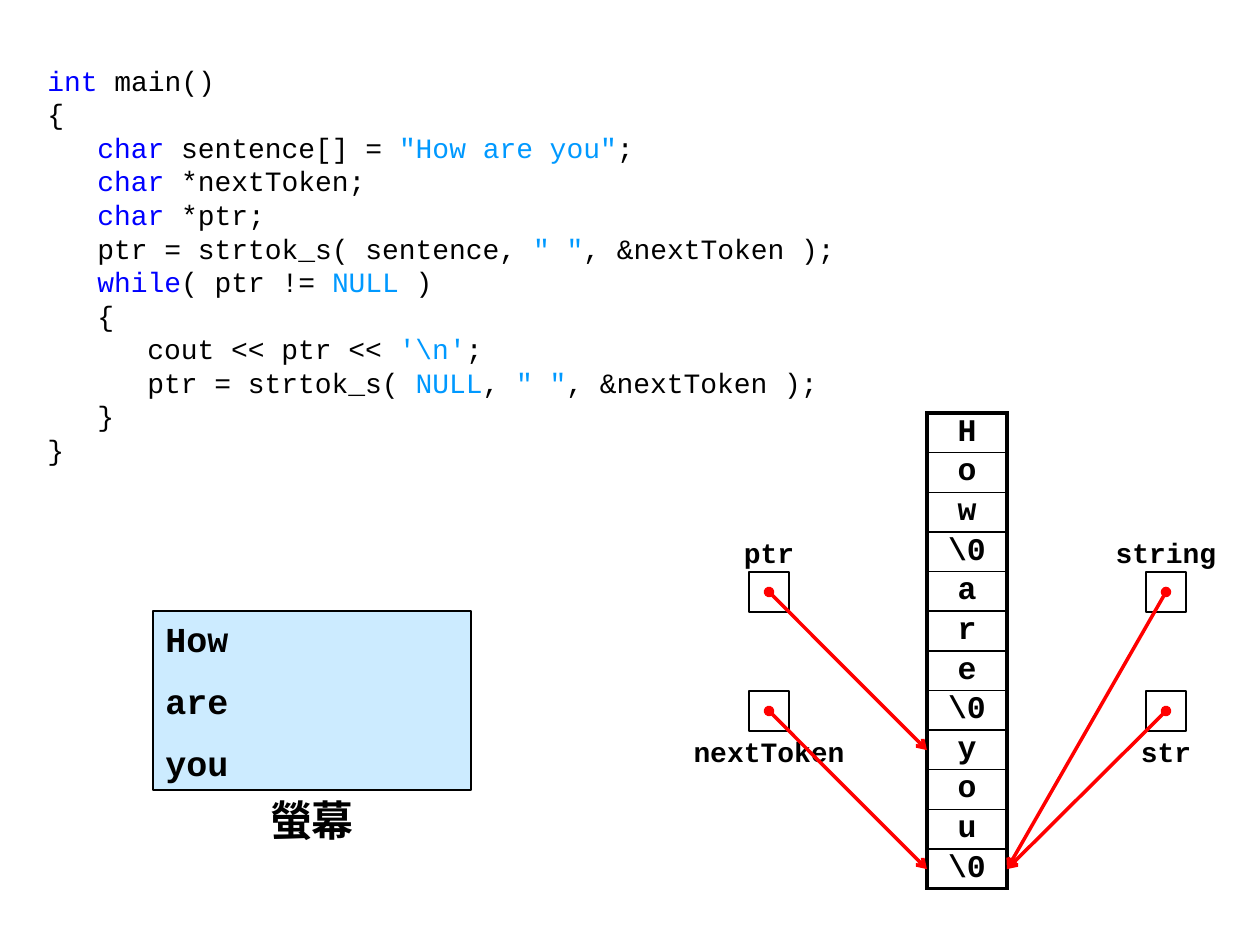
from lxml import etree
from pptx import Presentation, util as u
from pptx.dml.color import RGBColor
from pptx.enum import shapes, text
from pptx.oxml import parse_xml
from pptx.oxml.ns import qn, nsdecls

PX = 914400 / 126
BLACK, WHITE, RED, BLUE, SKY = "000000", "FFFFFF", "FF0000", "0000FF", "0099FF"
MIDDLE, CENTER = text.MSO_ANCHOR.MIDDLE, text.PP_ALIGN.CENTER


def px(*values):
    return [u.Emu(round(v * PX)) for v in values]


def add_run(p, words, size, color=BLACK, bold=True):
    r = p.add_run()
    r.text = words
    for name, value in dict(name="Courier New", size=u.Pt(size), bold=bold).items():
        setattr(r.font, name, value)
    r.font.color.rgb = RGBColor.from_string(color)


prs = Presentation()
prs.slide_width, prs.slide_height = px(1260, 945)
s = prs.slides.add_slide(prs.slide_layouts[6])

# Code listing: indent level, then (text, colour) pieces
code = [
    (0, [("int", BLUE), (" main()", BLACK)]),
    (0, [("{", BLACK)]),
    (1, [("char", BLUE), (" sentence[] = ", BLACK), ('"How are you"', SKY), (";", BLACK)]),
    (1, [("char", BLUE), (" *nextToken;", BLACK)]),
    (1, [("char", BLUE), (" *ptr;", BLACK)]),
    (1, [("ptr = strtok_s( sentence, ", BLACK), ('" "', SKY), (", &nextToken );", BLACK)]),
    (1, [("while", BLUE), ("( ptr != ", BLACK), ("NULL", SKY), (" )", BLACK)]),
    (1, [("{", BLACK)]),
    (2, [("cout << ptr << ", BLACK), ("'\\n'", SKY), (";", BLACK)]),
    (2, [("ptr = strtok_s( ", BLACK), ("NULL", SKY), (", ", BLACK), ('" "', SKY),
         (", &nextToken );", BLACK)]),
    (1, [("}", BLACK)]),
    (0, [("}", BLACK)]),
]
tf = s.shapes.add_textbox(*px(35, 57, 834, 417)).text_frame
tf.word_wrap = True
for i, (level, pieces) in enumerate(code):
    p = tf.add_paragraph() if i else tf.paragraphs[0]
    p.line_spacing = u.Pt(19.2)
    p._p.get_or_add_pPr().set("marL", str(px(50 * level)[0]))
    for words, color in pieces:
        add_run(p, words, 16, color, False)

# Screen output and its caption
sp = s.shapes.add_shape(shapes.MSO_SHAPE.RECTANGLE, *px(153, 611, 318, 179))
sp.shadow.inherit = False
sp.fill.solid()
sp.fill.fore_color.rgb = RGBColor.from_string("CCEBFF")
sp.line.color.rgb = RGBColor.from_string(BLACK)
sp.line.width = u.Pt(1.5)
tf = sp.text_frame
tf.vertical_anchor = MIDDLE
for i, word in enumerate(["How", "are", "you"]):
    p = tf.add_paragraph() if i else tf.paragraphs[0]
    p.alignment = text.PP_ALIGN.LEFT
    p.space_before = u.Pt(11.6 if i else 0)
    add_run(p, word, 20)

tf = s.shapes.add_textbox(*px(253, 790, 118, 59)).text_frame
tf.word_wrap, tf.vertical_anchor = True, MIDDLE
tf.paragraphs[0].alignment = CENTER
add_run(tf.paragraphs[0], "螢幕", 24)

# Character array
left, top, width, height = 927, 413, 80, 476
chars = ["H", "o", "w", "\\0", "a", "r", "e", "\\0", "y", "o", "u", "\\0"]
row_h = height / len(chars)
tbl = s.shapes.add_table(len(chars), 1, *px(left, top, width, height)).table
tbl.first_row = tbl.horz_banding = False
for i, char in enumerate(chars):
    tbl.rows[i].height = px(row_h)[0]
    cell = tbl.cell(i, 0)
    cell.margin_top = cell.margin_bottom = 0
    cell.vertical_anchor = MIDDLE
    p = cell.text_frame.paragraphs[0]
    p.alignment = CENTER
    add_run(p, char, 18)
    edges = dict(lnL=2.25, lnR=2.25, lnT=1 if i else 2.25,
                 lnB=1 if i < len(chars) - 1 else 2.25)
    for tag, points in edges.items():
        cell._tc.get_or_add_tcPr().append(parse_xml(
            f'<a:{tag} {nsdecls("a")} w="{u.Pt(points)}"><a:solidFill>'
            f'<a:srgbClr val="{BLACK}"/></a:solidFill></a:{tag}>'))
    cell.fill.background()

# Pointer variables: name, box left, box top, label side, label width, target row
BOX = 40
pointers = [
    ("str", 1146, 691, 1, 80, 11),
    ("nextToken", 749, 691, 1, 198, 11),
    ("string", 1146, 572, -1, 118, 11),
    ("ptr", 749, 572, -1, 80, 8),
]
for name, x, y, side, label_w, row in pointers:
    mid_x, mid_y = x + BOX / 2, y + BOX / 2
    tf = s.shapes.add_textbox(*px(mid_x - label_w / 2, y + side * BOX, label_w, BOX)).text_frame
    for attr, value in dict(word_wrap=True, vertical_anchor=MIDDLE, margin_left=0,
                            margin_right=0, margin_top=0, margin_bottom=0).items():
        setattr(tf, attr, value)
    tf.paragraphs[0].alignment = CENTER
    add_run(tf.paragraphs[0], name, 16)

    sp = s.shapes.add_shape(shapes.MSO_SHAPE.RECTANGLE, *px(x, y, BOX, BOX))
    sp.shadow.inherit = False
    if x < left:
        sp.fill.solid()
        sp.fill.fore_color.rgb = RGBColor.from_string(WHITE)
    else:
        sp.fill.background()
    sp.line.color.rgb = RGBColor.from_string(BLACK)
    sp.line.width = u.Pt(1.5)

# Arrows from the pointers to the array
for name, x, y, side, label_w, row in pointers:
    end_x = left if x < left else left + width
    cx = s.shapes.add_connector(shapes.MSO_CONNECTOR.STRAIGHT, *px(
        x + BOX / 2, y + BOX / 2, end_x, top + (row + 0.5) * row_h))
    cx.line.color.rgb = RGBColor.from_string(RED)
    cx.line.width = u.Pt(2)
    ln = cx.line._get_or_add_ln()
    etree.SubElement(ln, qn("a:headEnd"), type="oval")
    etree.SubElement(ln, qn("a:tailEnd"), type="arrow")
    etree.SubElement(cx._element.spPr, qn("a:effectLst"))

prs.save("out.pptx")
